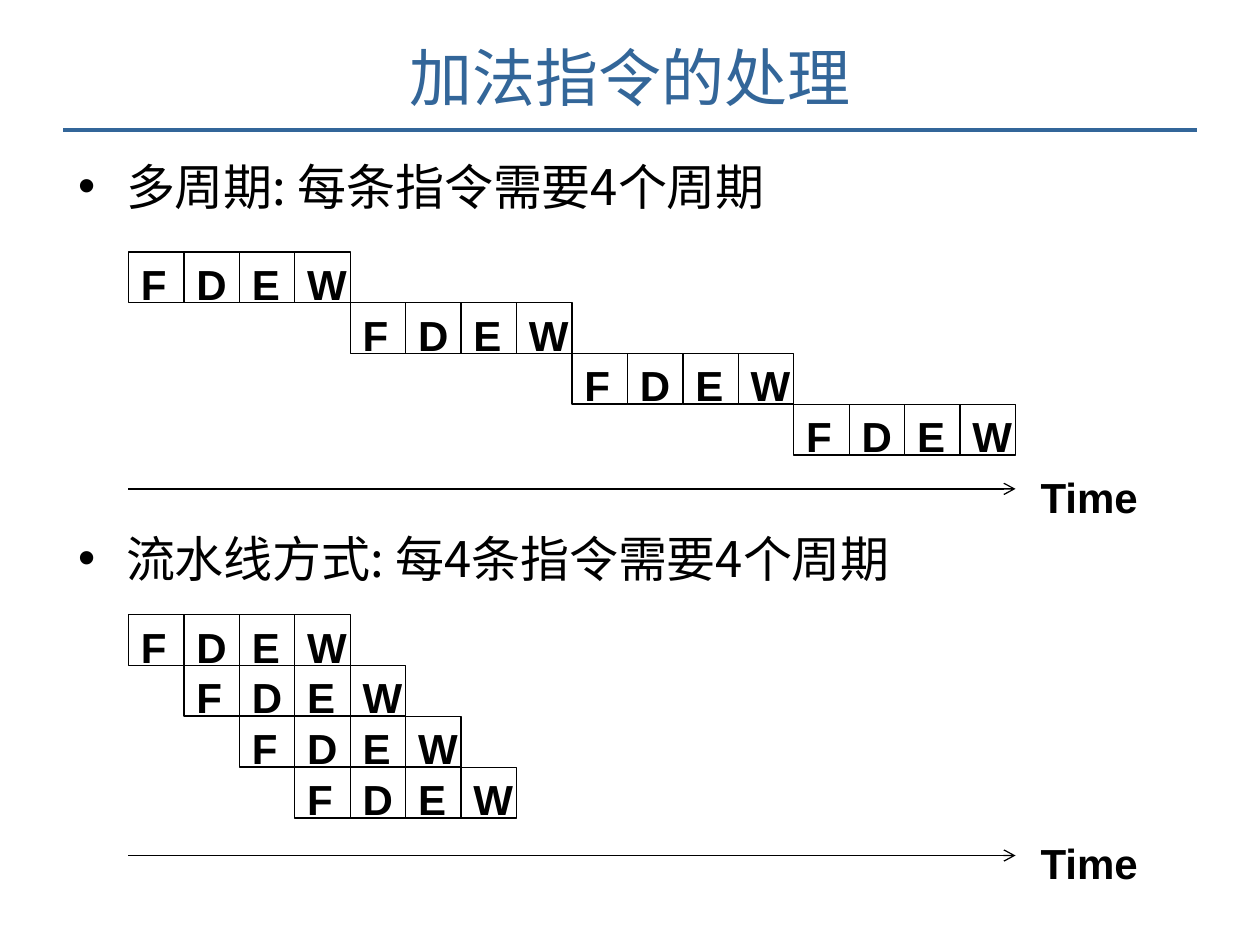
from pptx import Presentation
from pptx.dml.color import RGBColor
from pptx.enum.shapes import MSO_CONNECTOR, MSO_SHAPE
from pptx.enum.text import MSO_ANCHOR, MSO_AUTO_SIZE, PP_ALIGN
from pptx.oxml.ns import qn
from pptx.util import Inches, Pt
from lxml.etree import SubElement

COLORS = {"title": "336699", "ink": "000000", "cell": "FFFFFF"}
CJK = "Noto Sans CJK SC"
LEFT, CELL_W, CELL_H, ROW_STEP = 1.02, 0.44, 0.4, 0.404
STAGES = "FDEW"


def style_text(p, size, color, font, bold=False):
    for r in p.runs:
        r.font.size = Pt(size)
        r.font.bold = bold
        r.font.name = font
        r.font.color.rgb = RGBColor.from_string(COLORS[color])
        SubElement(r.font._element, qn("a:ea")).set("typeface", font)


def add_line(x1, y1, x2, y2, color, width, arrow=False):
    line = s.shapes.add_connector(
        MSO_CONNECTOR.STRAIGHT, Inches(x1), Inches(y1), Inches(x2), Inches(y2))
    line.line.color.rgb = RGBColor.from_string(COLORS[color])
    line.line.width = Pt(width)
    if arrow:
        SubElement(line.line._get_or_add_ln(), qn("a:tailEnd")).set("type", "arrow")
    SubElement(line._element.spPr, qn("a:effectLst"))


prs = Presentation()
prs.slide_width, prs.slide_height = Inches(10), Inches(7.5)
s = prs.slides.add_slide(prs.slide_layouts[1])

add_line(0.5, 1.03, 9.5, 1.03, "title", 2)

title = s.shapes.title
title.left, title.top, title.width, title.height = Inches(0), Inches(0.23), Inches(10), Inches(0.75)
tf = title.text_frame
tf.text = "加法指令的处理"
tf.auto_size = MSO_AUTO_SIZE.NONE
tf.vertical_anchor = MSO_ANCHOR.MIDDLE
tf.paragraphs[0].alignment = PP_ALIGN.CENTER
style_text(tf.paragraphs[0], 36, "title", CJK)

body = s.placeholders[1]
body.left, body.top, body.width, body.height = Inches(0.52), Inches(1.19), Inches(8.99), Inches(4.95)
tf = body.text_frame
tf.text = "多周期: 每条指令需要4个周期\n流水线方式: 每4条指令需要4个周期"
tf.auto_size = MSO_AUTO_SIZE.NONE
for p, gap in zip(tf.paragraphs, (0, 179)):
    pPr = p._p.get_or_add_pPr()
    pPr.set("marL", str(Inches(0.38)))
    pPr.set("indent", str(Inches(-0.38)))
    SubElement(pPr, qn("a:buChar")).set("char", "•")
    p.space_before = Pt(gap)
    style_text(p, 28, "ink", CJK)

for top, shift, axis_y in ((2, len(STAGES), 3.88), (4.88, 1, 6.79)):
    for row in range(4):
        instruction = s.shapes.add_group_shape()
        for col, stage in enumerate(STAGES):
            cell = instruction.shapes.add_shape(
                MSO_SHAPE.RECTANGLE,
                Inches(LEFT + (row * shift + col) * CELL_W), Inches(top + row * ROW_STEP),
                Inches(CELL_W), Inches(CELL_H))
            cell.shadow.inherit = False
            cell.fill.solid()
            cell.fill.fore_color.rgb = RGBColor.from_string(COLORS["cell"])
            cell.line.color.rgb = RGBColor.from_string(COLORS["ink"])
            cell.line.width = Pt(0.75)
            tf = cell.text_frame
            tf.text = stage
            tf.vertical_anchor = MSO_ANCHOR.TOP
            tf.paragraphs[0].alignment = PP_ALIGN.LEFT
            style_text(tf.paragraphs[0], 24, "ink", "Arial", True)

    add_line(LEFT, axis_y, LEFT + 16 * CELL_W, axis_y, "ink", 0.75, True)
    label = s.shapes.add_textbox(Inches(8.16), Inches(axis_y - 0.19), Inches(1.32), Inches(0.5))
    tf = label.text_frame
    tf.word_wrap = True
    tf.text = "Time"
    style_text(tf.paragraphs[0], 24, "ink", "Arial", True)

prs.save("out.pptx")
